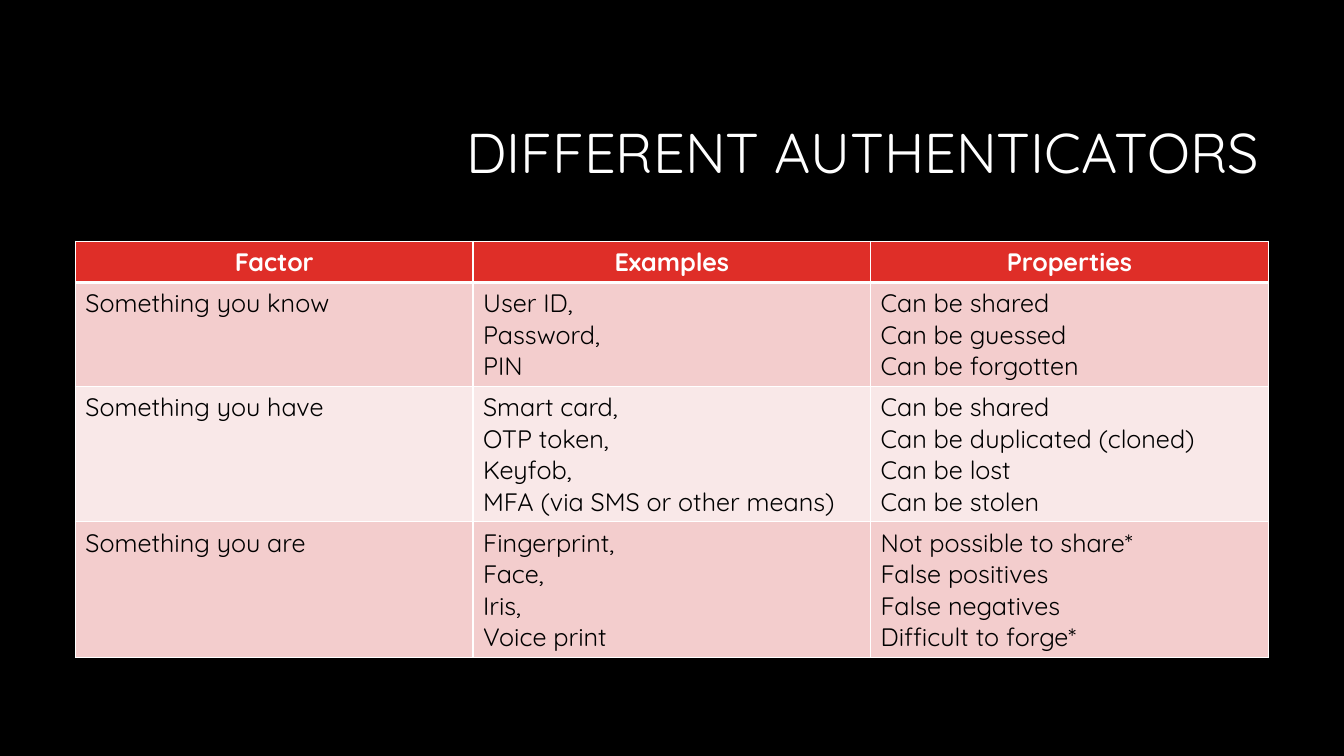
"""Build a slide with a table that compares kinds of authenticators."""
from lxml import etree
from pptx import Presentation
from pptx.dml.color import RGBColor
from pptx.enum import text
from pptx.oxml import ns
from pptx.util import Cm, Pt

TITLE = "DIFFERENT AUTHENTICATORS"
HEADINGS = ["Factor", "Examples", "Properties"]
FACTORS = [
    (["Something you know"],
     ["User ID,", "Password,", "PIN"],
     ["Can be shared", "Can be guessed", "Can be forgotten"]),
    (["Something you have"],
     ["Smart card,", "OTP token,", "Keyfob,", "MFA (via SMS or other means)"],
     ["Can be shared", "Can be duplicated (cloned)", "Can be lost", "Can be stolen"]),
    (["Something you are"],
     ["Fingerprint,", "Face,", "Iris,", "Voice print"],
     ["Not possible to share*", "False positives", "False negatives", "Difficult to forge*"]),
]

FONT = "Quicksand"
BLACK = RGBColor(0x00, 0x00, 0x00)
WHITE = RGBColor(0xFF, 0xFF, 0xFF)
RED = RGBColor(0xDF, 0x2E, 0x28)
BANDS = [RGBColor(0xF3, 0xCD, 0xCD), RGBColor(0xF9, 0xE8, 0xE8)]

COLUMN_WIDTH = Cm(10.02)
LINE_HEIGHT = Cm(0.79)
CELL_PADDING = Cm(0.25)


def write(frame, lines, size=18, color=BLACK, bold=False,
          align=text.PP_ALIGN.LEFT, spacing=None):
    for index, line in enumerate(lines):
        paragraph = frame.add_paragraph() if index else frame.paragraphs[0]
        paragraph.alignment = align
        paragraph.line_spacing = spacing
        run = paragraph.add_run()
        run.text = line
        run.font.name = FONT
        run.font.size = Pt(size)
        run.font.bold = bold
        run.font.color.rgb = color


def add_borders(cell, **widths):
    properties = cell._tc.get_or_add_tcPr()
    for side in "LRTB":
        line = etree.SubElement(properties, ns.qn(f"a:ln{side}"),
                                w=str(Pt(widths.get(side, 1))))
        fill = etree.SubElement(line, ns.qn("a:solidFill"))
        etree.SubElement(fill, ns.qn("a:srgbClr"), val=str(WHITE))


def add_title(slide):
    box = slide.shapes.add_textbox(Cm(8.05), Cm(2.13), Cm(23.93), Cm(3.58))
    frame = box.text_frame
    frame.word_wrap = True
    frame.vertical_anchor = text.MSO_ANCHOR.MIDDLE
    write(frame, [TITLE], size=40, color=WHITE,
          align=text.PP_ALIGN.RIGHT, spacing=0.9)


def add_factor_table(slide):
    rows = [[[heading] for heading in HEADINGS], *FACTORS]
    heights = [CELL_PADDING + LINE_HEIGHT * max(map(len, row)) for row in rows]
    table = slide.shapes.add_table(
        len(rows), len(HEADINGS), Cm(1.9), Cm(6.08),
        COLUMN_WIDTH * len(HEADINGS), sum(heights)).table
    for column in table.columns:
        column.width = COLUMN_WIDTH
    for row_index, row in enumerate(rows):
        table.rows[row_index].height = heights[row_index]
        for column_index, lines in enumerate(row):
            cell = table.cell(row_index, column_index)
            if row_index == 0:
                add_borders(cell, B=3)
                write(cell.text_frame, lines, color=WHITE, bold=True,
                      align=text.PP_ALIGN.CENTER)
            else:
                add_borders(cell, T=3 if row_index == 1 else 1)
                write(cell.text_frame, lines)
            cell.fill.solid()
            cell.fill.fore_color.rgb = BANDS[(row_index - 1) % 2] if row_index else RED


def main():
    presentation = Presentation()
    presentation.slide_width = Cm(33.87)
    presentation.slide_height = Cm(19.05)
    slide = presentation.slides.add_slide(presentation.slide_layouts[6])
    slide.background.fill.solid()
    slide.background.fill.fore_color.rgb = BLACK
    add_title(slide)
    add_factor_table(slide)
    presentation.save("out.pptx")


if __name__ == "__main__":
    main()
